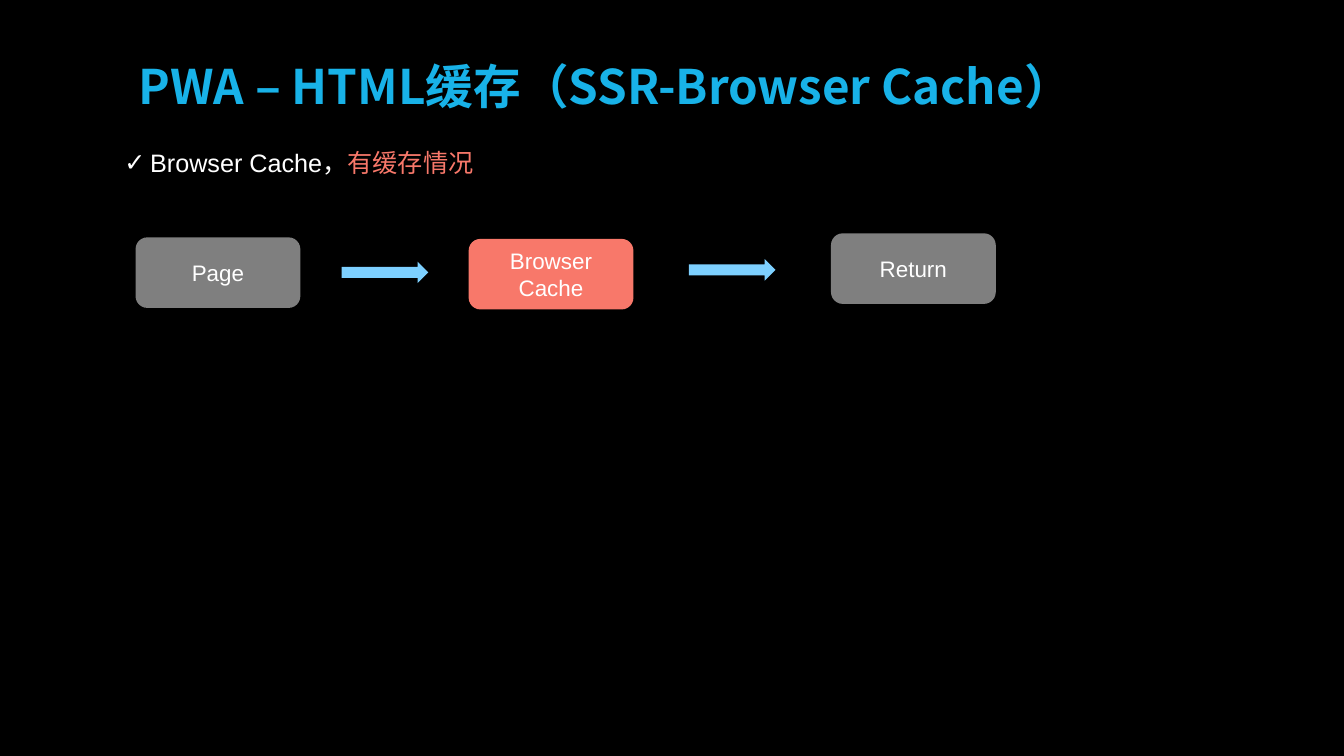
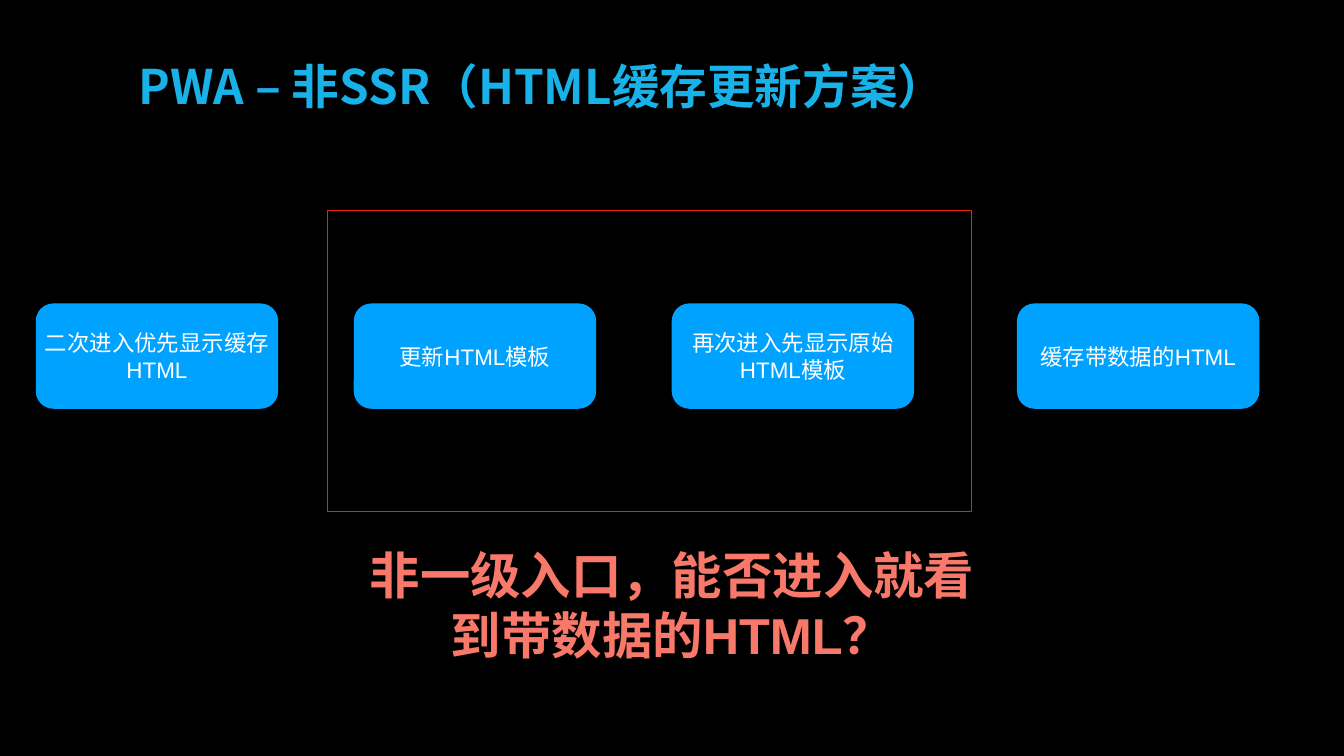
import dataclasses

import lxml.etree
import pptx
import pptx.dml.color
import pptx.enum.shapes
import pptx.enum.text
import pptx.oxml.ns
import pptx.util

Inches = pptx.util.Inches
Shape = pptx.enum.shapes.MSO_SHAPE
Align = pptx.enum.text.PP_ALIGN
Anchor = pptx.enum.text.MSO_ANCHOR
AutoSize = pptx.enum.text.MSO_AUTO_SIZE
qn = pptx.oxml.ns.qn


@dataclasses.dataclass(frozen=True)
class Theme:
    background: str = "000000"
    title: str = "18B2E8"
    text: str = "FFFFFF"
    accent: str = "F8786A"
    neutral: str = "7F7F7F"
    step: str = "00A2FF"
    arrow: str = "7DD0FF"
    frame: str = "EE220C"
    title_font: str = "Noto Sans CJK SC"
    body_font: str = "Arial"
    title_size: int = 68
    bullet_size: int = 36
    label_size: int = 32
    question_size: int = 72
    inset: float = 0.06


def rgb(color):
    return pptx.dml.color.RGBColor.from_string(color)


def add_text(paragraph, text, *, size, color, font, bold=False):
    run = paragraph.add_run()
    run.text = text
    run.font.size = pptx.util.Pt(size)
    run.font.bold = bold
    run.font.color.rgb = rgb(color)
    run.font.name = font
    east_asian = lxml.etree.SubElement(run.font._element, qn("a:ea"))
    east_asian.set("typeface", font)


class Deck:
    def __init__(self, theme):
        self.theme = theme
        self.presentation = pptx.Presentation()
        self.presentation.slide_width = Inches(26.67)
        self.presentation.slide_height = Inches(15)
        self.slide = None

    def new_slide(self, title):
        theme = self.theme
        self.slide = self.presentation.slides.add_slide(self.presentation.slide_layouts[6])
        self.slide.background.fill.solid()
        self.slide.background.fill.fore_color.rgb = rgb(theme.background)
        frame = self.text_box(2.69, 1.07, 21.28, 1.43)
        self.set_insets(frame)
        add_text(frame.paragraphs[0], title, size=theme.title_size,
                 color=theme.title, font=theme.title_font, bold=True)

    def set_insets(self, frame):
        inset = Inches(self.theme.inset)
        frame.margin_left = frame.margin_right = inset
        frame.margin_top = frame.margin_bottom = inset

    def text_box(self, left, top, width, height):
        shape = self.slide.shapes.add_textbox(
            Inches(left), Inches(top), Inches(width), Inches(height))
        shape.text_frame.word_wrap = True
        return shape.text_frame

    def bullet(self, left, top, width, height, pieces):
        theme = self.theme
        frame = self.text_box(left, top, width, height)
        frame.auto_size = AutoSize.SHAPE_TO_FIT_TEXT
        paragraph = frame.paragraphs[0]
        properties = paragraph._p.get_or_add_pPr()
        indent = Inches(0.51)
        properties.set("marL", str(indent))
        properties.set("indent", str(-indent))
        bullet_color = lxml.etree.SubElement(properties, qn("a:buClr"))
        lxml.etree.SubElement(bullet_color, qn("a:srgbClr")).set("val", theme.text)
        lxml.etree.SubElement(properties, qn("a:buFont")).set("typeface", theme.body_font)
        lxml.etree.SubElement(properties, qn("a:buChar")).set("char", "✓")
        for text, color in pieces:
            add_text(paragraph, text, size=theme.bullet_size, color=color,
                     font=theme.body_font)

    def shape(self, kind, left, top, width, height, fill=None, line=None):
        shape = self.slide.shapes.add_shape(
            kind, Inches(left), Inches(top), Inches(width), Inches(height))
        shape.shadow.inherit = False
        if fill:
            shape.fill.solid()
            shape.fill.fore_color.rgb = rgb(fill)
        else:
            shape.fill.background()
        if line:
            shape.line.color.rgb = rgb(line)
            shape.line.width = pptx.util.Pt(1)
        else:
            shape.line.fill.background()
        return shape

    def box(self, text, left, top, width, height, fill):
        shape = self.shape(Shape.ROUNDED_RECTANGLE, left, top, width, height, fill=fill)
        self.centred(shape.text_frame, text, size=self.theme.label_size,
                     color=self.theme.text)

    def arrow(self, left, top):
        self.shape(Shape.RIGHT_ARROW, left, top, 1.72, 0.43, fill=self.theme.arrow)

    def question(self, text, left, top, width, height):
        frame = self.text_box(left, top, width, height)
        frame.auto_size = AutoSize.SHAPE_TO_FIT_TEXT
        self.centred(frame, text, size=self.theme.question_size,
                     color=self.theme.accent, bold=True)

    def centred(self, frame, text, **text_format):
        frame.word_wrap = True
        frame.vertical_anchor = Anchor.MIDDLE
        self.set_insets(frame)
        paragraph = frame.paragraphs[0]
        paragraph.alignment = Align.CENTER
        add_text(paragraph, text, font=self.theme.body_font, **text_format)


def build_browser_cache(deck):
    theme = deck.theme
    deck.new_slide("PWA – HTML缓存（SSR-Browser Cache）")
    deck.bullet(2.37, 2.87, 16.35, 0.71, [
        ("Browser Cache，", theme.text),
        ("有缓存情况", theme.accent),
    ])
    for text, left, top, fill in [
        ("Page", 2.69, 4.71, theme.neutral),
        ("Browser Cache", 9.3, 4.74, theme.accent),
        ("Return", 16.49, 4.63, theme.neutral),
    ]:
        deck.box(text, left, top, 3.27, 1.4, fill)
    deck.arrow(6.78, 5.19)
    deck.arrow(13.67, 5.14)


def build_update_plan(deck):
    theme = deck.theme
    deck.new_slide("PWA – 非SSR（HTML缓存更新方案）")
    for text, left in [
        ("二次进入优先显示缓存HTML", 0.71),
        ("更新HTML模板", 7.02),
        ("再次进入先显示原始HTML模板", 13.33),
        ("缓存带数据的HTML", 20.18),
    ]:
        deck.box(text, left, 6.02, 4.81, 2.09, theme.step)
    deck.shape(Shape.RECTANGLE, 6.5, 4.18, 12.77, 5.97, line=theme.frame)
    deck.question("非一级入口，能否进入就看到带数据的HTML？", 7.2, 10.72, 12.27, 2.54)


def main():
    deck = Deck(Theme())
    build_browser_cache(deck)
    build_update_plan(deck)
    deck.presentation.save("out.pptx")


if __name__ == "__main__":
    main()
